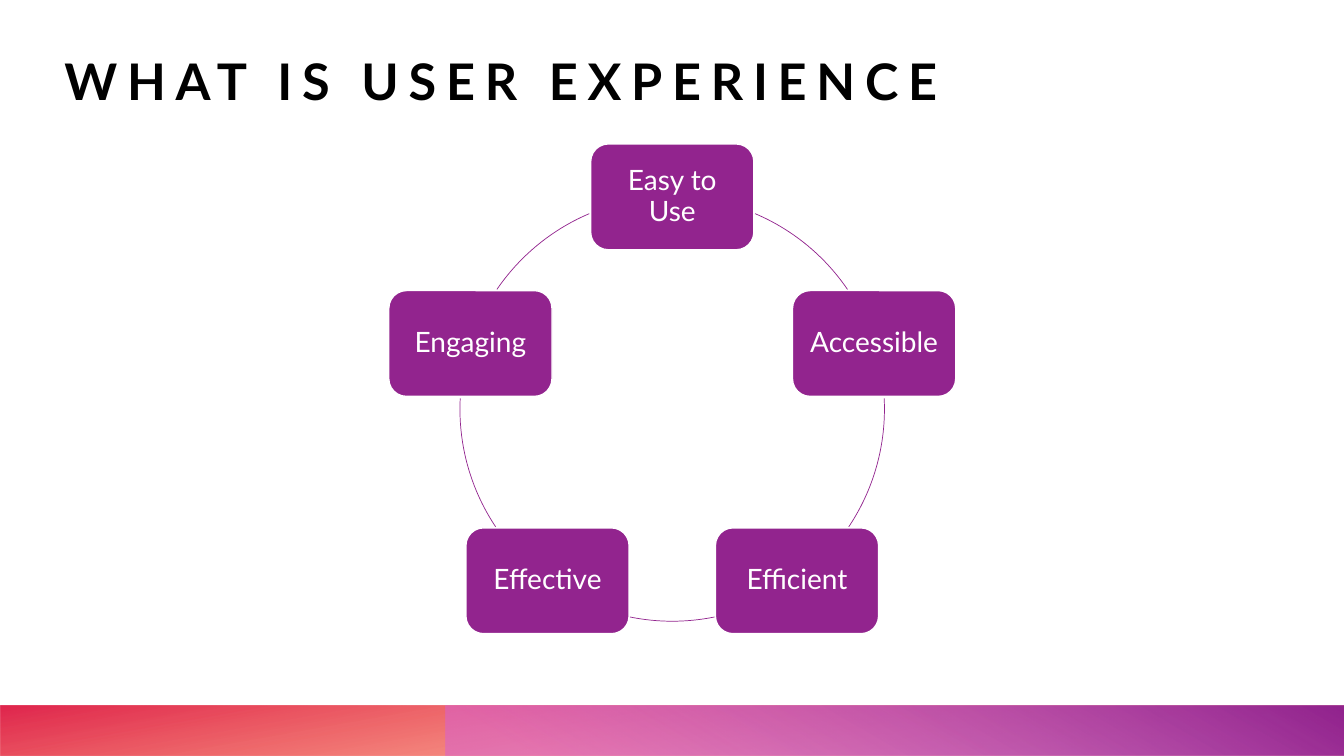
from math import cos, radians, sin

from pptx import Presentation
from pptx.dml.color import RGBColor
from pptx.enum import shapes, text
from pptx.oxml import parse_xml
from pptx.oxml.ns import nsdecls
from pptx.util import Pt

COLORS = {
    "purple": "92248E",
    "orchid": "D861D4",
    "orange": "FE4A00",
    "red": "DA002F",
    "white": "FFFFFF",
    "black": "000000",
}
FONT = "Lato"
WIDTH, HEIGHT = 960, 540


def rgb(name):
    return RGBColor.from_string(COLORS[name])


def add_band(page, left, stops, angle, rotation):
    """Add a mirrored footer band; stops are (position %, colour, opacity %)."""
    band = page.shapes.add_shape(
        shapes.MSO_SHAPE.RECTANGLE, Pt(left), Pt(504), Pt(WIDTH - left), Pt(36))
    band.shadow.inherit = False
    band.line.fill.background()
    band.rotation = rotation
    props = band._element.spPr
    props.xfrm.set("flipH", "1")
    stop_xml = "".join(
        f'<a:gs pos="{position * 1000}"><a:srgbClr val="{COLORS[color]}">'
        f'<a:alpha val="{opacity * 1000}"/></a:srgbClr></a:gs>'
        for position, color, opacity in stops)
    gradient = parse_xml(
        f'<a:gradFill {nsdecls("a")} rotWithShape="1"><a:gsLst>{stop_xml}</a:gsLst>'
        f'<a:lin ang="{angle * 60000}" scaled="0"/></a:gradFill>')
    props.prstGeom.addnext(gradient)


deck = Presentation()
deck.slide_width, deck.slide_height = Pt(WIDTH), Pt(HEIGHT)
page = deck.slides.add_slide(deck.slide_layouts[6])

# Footer
add_band(page, 0, [(14, "orange", 28), (100, "red", 85)], 100, 180)
add_band(page, 318, [(9, "orchid", 55), (99, "purple", 100)], 240, 0)

# Title
title = page.shapes.add_textbox(Pt(46), Pt(36), Pt(868), Pt(44))
frame = title.text_frame
frame.word_wrap = True
frame.margin_left = frame.margin_top = frame.margin_right = frame.margin_bottom = 0
para = frame.paragraphs[0]
span = para.add_run()
span.text = "WHAT IS USER EXPERIENCE"
span.font.name, span.font.size, span.font.bold = FONT, Pt(36), True
span.font.color.rgb = rgb("black")
span.font._element.set("spc", "700")

# Cycle: boxes evenly spaced clockwise from the top, each followed by an arc
CENTER_X, CENTER_Y, RADIUS = 480.2, 292.2, 151.6
BOX_WIDTH, BOX_HEIGHT = 116.6, 75.6
qualities = ["Easy to Use", "Accessible", "Efficient", "Effective", "Engaging"]
arc_angles = [(293, 325.7), (357.1, 33.7), (78.5, 101.5), (146.3, 182.9), (214.3, 247)]

for index, (quality, angles) in enumerate(zip(qualities, arc_angles)):
    angle = radians(-90 + index * 360 / len(qualities))
    box = page.shapes.add_shape(
        shapes.MSO_SHAPE.ROUNDED_RECTANGLE,
        Pt(CENTER_X + RADIUS * cos(angle) - BOX_WIDTH / 2),
        Pt(CENTER_Y + RADIUS * sin(angle) - BOX_HEIGHT / 2),
        Pt(BOX_WIDTH), Pt(BOX_HEIGHT))
    box.shadow.inherit = False
    box.fill.solid()
    box.fill.fore_color.rgb = rgb("purple")
    box.line.color.rgb = rgb("white")
    box.line.width = Pt(1)
    frame = box.text_frame
    frame.word_wrap = True
    frame.vertical_anchor = text.MSO_ANCHOR.MIDDLE
    frame.margin_left = frame.margin_top = frame.margin_right = frame.margin_bottom = Pt(5.6)
    para = frame.paragraphs[0]
    para.text = quality
    para.alignment = text.PP_ALIGN.CENTER
    para.line_spacing = 0.9
    para.font.name, para.font.size = FONT, Pt(20)
    para.font.color.rgb = rgb("white")

    arc = page.shapes.add_shape(
        shapes.MSO_SHAPE.ARC, Pt(CENTER_X - RADIUS), Pt(CENTER_Y - RADIUS),
        Pt(2 * RADIUS), Pt(2 * RADIUS))
    arc.shadow.inherit = False
    arc.fill.background()
    arc.line.color.rgb = rgb("purple")
    arc.line.width = Pt(0.5)
    for end, degrees in enumerate(angles):
        arc.adjustments[end] = degrees * 0.6  # 60000ths of a degree, in units of 100000

deck.save("out.pptx")
